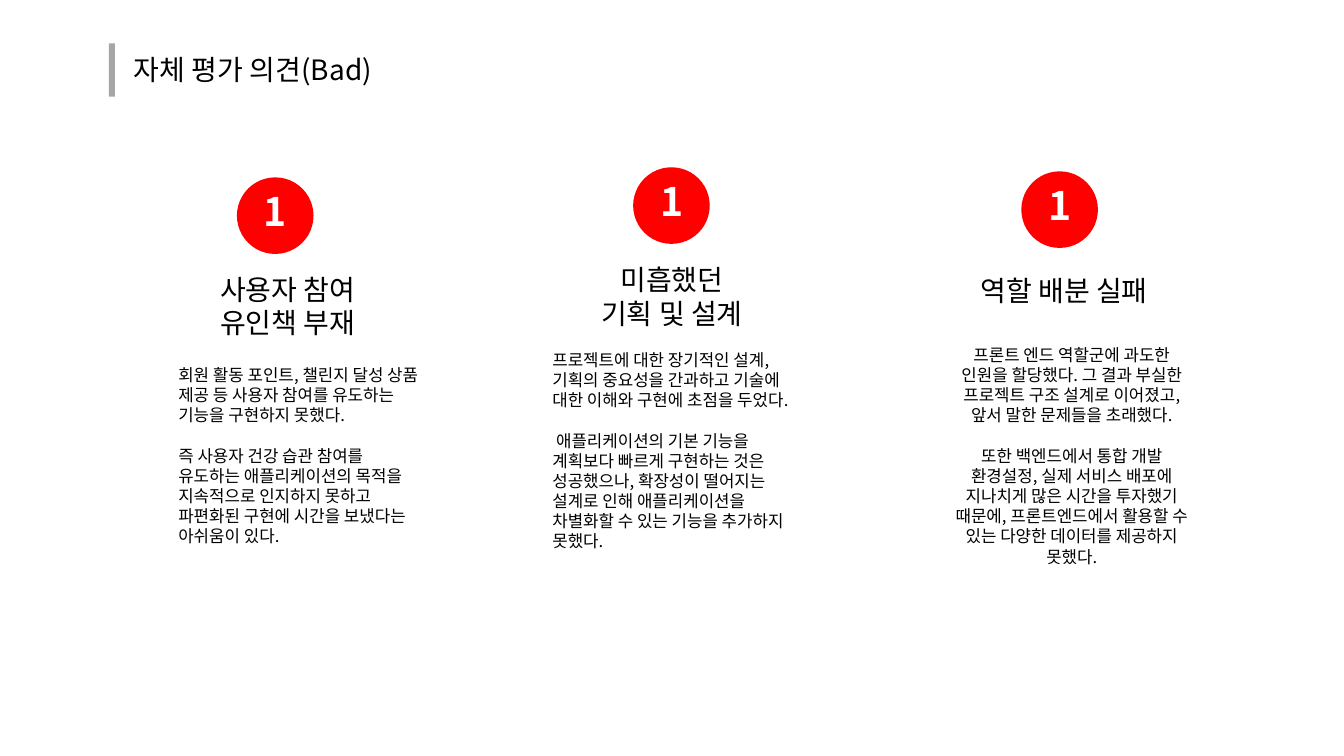
from pptx import Presentation
from pptx.dml.color import RGBColor
from pptx.enum.shapes import MSO_SHAPE
from pptx.enum.text import PP_ALIGN
from pptx.oxml.ns import qn
from pptx.util import Inches, Pt

RECTANGLE, OVAL = MSO_SHAPE.RECTANGLE, MSO_SHAPE.OVAL
LEFT, CENTER = PP_ALIGN.LEFT, PP_ALIGN.CENTER
FONT = "Noto Sans CJK KR"
BLACK, WHITE, RED, GRAY = "000000", "FFFFFF", "FF0000", "A6A6A6"

presentation = Presentation()
presentation.slide_width = Inches(13.33)
presentation.slide_height = Inches(7.5)
slide = presentation.slides.add_slide(presentation.slide_layouts[6])


def add_filled_shape(kind, box, color):
    shape = slide.shapes.add_shape(kind, *map(Inches, box))
    shape.shadow.inherit = False
    shape.fill.solid()
    shape.fill.fore_color.rgb = RGBColor.from_string(color)
    shape.line.fill.background()


def add_text(box, lines, size, color=BLACK, align=LEFT, bold=False, wrap=True, gap=0):
    text_frame = slide.shapes.add_textbox(*map(Inches, box)).text_frame
    text_frame.word_wrap = wrap
    for index, line in enumerate(lines):
        paragraph = text_frame.paragraphs[0] if index == 0 else text_frame.add_paragraph()
        paragraph.alignment = align
        paragraph.space_before = Pt(gap if index else 0)
        run = paragraph.add_run()
        run.text = line
        for name, value in {"name": FONT, "size": Pt(size), "bold": bold}.items():
            setattr(run.font, name, value)
        run.font.color.rgb = RGBColor.from_string(color)
        # Korean letters take the East Asian typeface
        east_asian = run.font._element.makeelement(qn("a:ea"), {"typeface": FONT})
        run.font._element.append(east_asian)


# Slide title with its gray bar
add_filled_shape(RECTANGLE, (1.08, 0.43, 0.06, 0.53), GRAY)
add_text((1.23, 0.47, 2.94, 0.43), ["자체 평가 의견(Bad)"], 20)

# Columns: circle position, heading position and lines, body position, alignment and text
columns = [
    ((2.35, 1.76), (1.53, 2.65), ["사용자 참여", "유인책 부재"], (1.67, 3.57), LEFT, [
        "회원 활동 포인트, 챌린지 달성 상품 제공 등 사용자 참여를 "
        "유도하는 기능을 구현하지 못했다.",
        "즉 사용자 건강 습관 참여를 유도하는 애플리케이션의 목적을 "
        "지속적으로 인지하지 못하고 파편화된 구현에 시간을 보냈다는 아쉬움이 있다.",
    ]),
    ((6.28, 1.66), (5.34, 2.56), ["미흡했던", "기획 및 설계"], (5.38, 3.42), LEFT, [
        "프로젝트에 대한 장기적인 설계, 기획의 중요성을 간과하고 기술에 "
        "대한 이해와 구현에 초점을 두었다.",
        " 애플리케이션의 기본 기능을 계획보다 빠르게 구현하는 것은 성공했으나, "
        "확장성이 떨어지는 설계로 인해 애플리케이션을 "
        "차별화할 수 있는 기능을 추가하지 못했다.",
    ]),
    ((10.13, 1.7), (9.23, 2.66), ["역할 배분 실패"], (9.34, 3.37), CENTER, [
        "프론트 엔드 역할군에 과도한 인원을 할당했다. 그 결과 부실한 "
        "프로젝트 구조 설계로 이어졌고, 앞서 말한 문제들을 초래했다.",
        "또한 백엔드에서 통합 개발 환경설정, 실제 서비스 배포에 지나치게 많은 "
        "시간을 투자했기 때문에, 프론트엔드에서 활용할 수 있는 "
        "다양한 데이터를 제공하지 못했다.",
    ]),
]

for (circle_left, circle_top), heading_place, heading, body_place, align, body in columns:
    add_filled_shape(OVAL, (circle_left, circle_top, 0.76, 0.76), RED)
    number_box = (circle_left + 0.17, circle_top + 0.05, 0.44, 0.56)
    add_text(number_box, ["1"], 28, WHITE, bold=True, wrap=False)
    heading_height = 0.1 + 0.33 * len(heading)
    add_text((*heading_place, 2.65, heading_height), heading, 20, align=CENTER)
    body_height = 1.9 if body_place[0] < 5 else 2.7
    add_text((*body_place, 2.58, body_height), body, 12, align=align, gap=14.4)

presentation.save("out.pptx")
